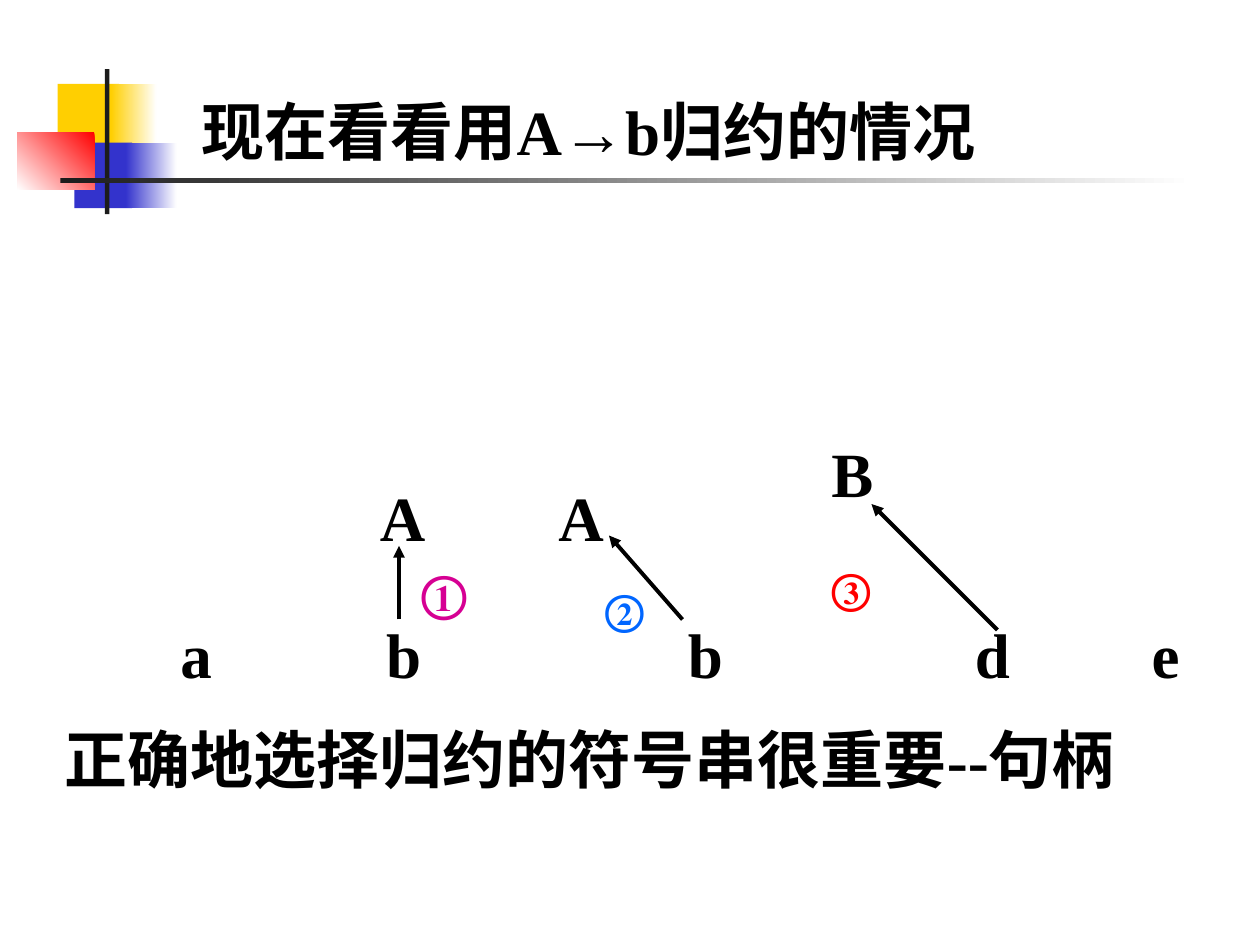
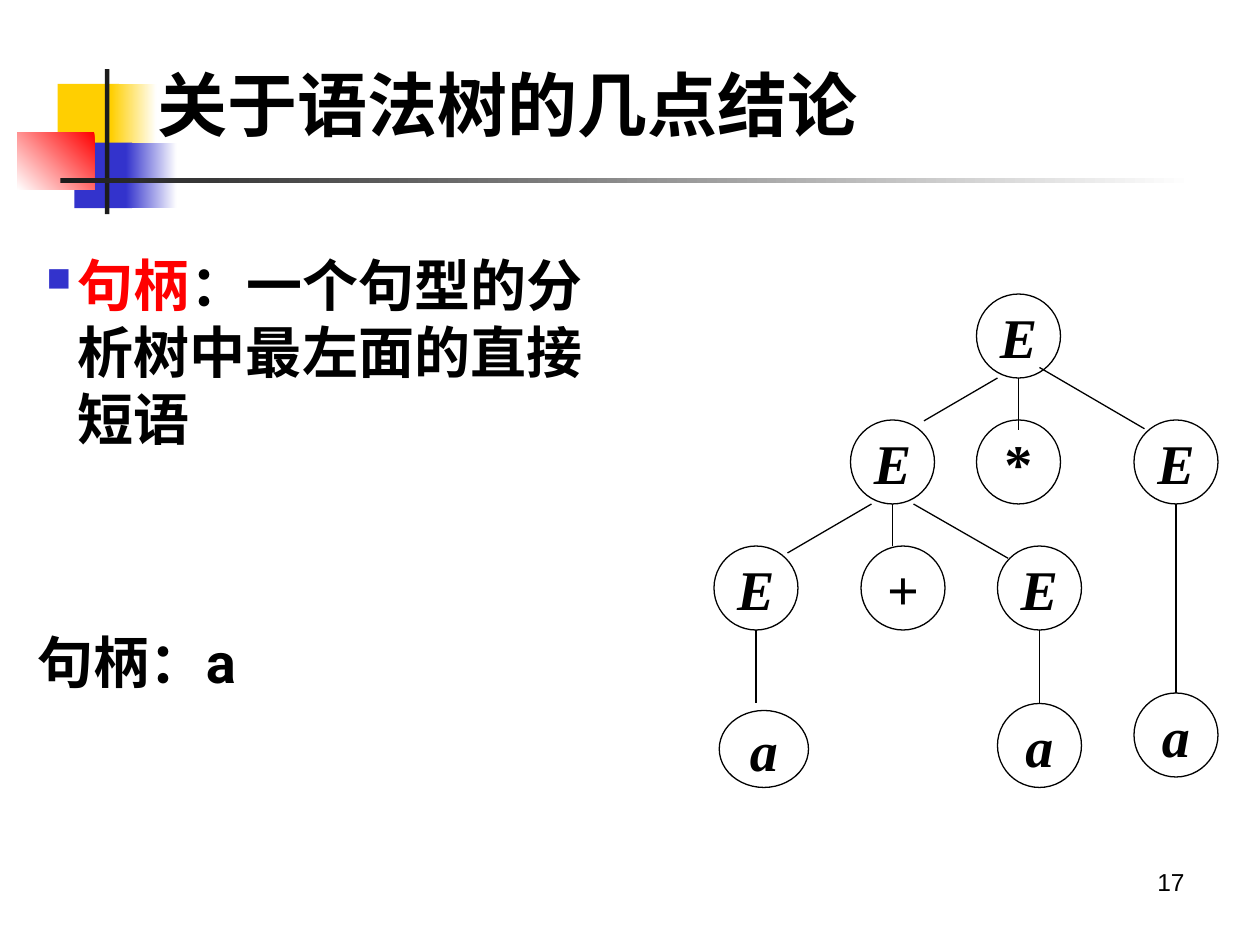
from pptx import Presentation
from pptx.dml.color import RGBColor
from pptx.enum import shapes, text
from pptx.oxml import parse_xml
from pptx.oxml.ns import nsdecls, qn
from pptx.util import Pt

BLACK, WHITE, INK = "000000", "FFFFFF", "1C1C1C"
YELLOW, BLUE, RED = "FFCF01", "3333CC", "FF0000"
SERIF, SANS, NUMBER_FONT = "Times New Roman", "Roboto", "Arial"
TITLE_ONLY = 5


def rgb(value):
    return RGBColor.from_string(value)


def drawing(tag, attributes="", content=""):
    """Make one DrawingML element."""
    return parse_xml(f"<a:{tag} {nsdecls('a')} {attributes}>{content}</a:{tag}>")


def add_run(paragraph, words, size, color=BLACK, font=SERIF, bold=True,
            italic=False, shadow=False):
    run = paragraph.add_run()
    run.text = words
    run.font.size = Pt(size)
    run.font.name = font
    run.font.bold = bold
    run.font.italic = italic
    run.font.color.rgb = rgb(color)
    if shadow:
        effect = ('<a:outerShdw dist="25400" dir="2700000">'
                  '<a:srgbClr val="1C1C1C"/></a:outerShdw>')
        fill = run.font._element.find(qn("a:solidFill"))
        fill.addnext(drawing("effectLst", content=effect))


def add_text_box(slide, left, top, width, height):
    """Add a wrapping text box and return its first paragraph."""
    box = slide.shapes.add_textbox(Pt(left), Pt(top), Pt(width), Pt(height))
    box.text_frame.word_wrap = True
    return box.text_frame.paragraphs[0]


def add_line(slide, start, end, width, arrow=False):
    line = slide.shapes.add_connector(
        shapes.MSO_CONNECTOR.STRAIGHT, *(Pt(value) for value in start + end))
    line.line.color.rgb = rgb(BLACK)
    line.line.width = Pt(width)
    if arrow:
        line.line._get_or_add_ln().append(drawing("tailEnd", 'type="triangle"'))
    line._element.spPr.append(drawing("effectLst"))


def add_block(slide, box, colors, angle=0):
    """Add a borderless rectangle, graded when two colours are given."""
    block = slide.shapes.add_shape(
        shapes.MSO_SHAPE.RECTANGLE, *(Pt(value) for value in box))
    block.shadow.inherit = False
    block.line.fill.background()
    if len(colors) == 1:
        block.fill.solid()
        block.fill.fore_color.rgb = rgb(colors[0])
    else:
        block.fill.gradient()
        block.fill.gradient_angle = angle
        for stop, color in zip(block.fill.gradient_stops, colors):
            stop.color.rgb = rgb(color)


def add_emblem(slide, left, top):
    """Add the coloured blocks and crossing rules beside the title."""
    blocks = [
        ((23, 8.5, 35, 37.5), [YELLOW], 0),
        ((53.5, 8.5, 26, 37.5), [YELLOW, WHITE], 0),
        ((32.5, 42, 33, 37.5), [BLUE], 0),
        ((62, 42, 29, 37.5), [BLUE, WHITE], 0),
        ((0, 36, 44, 33), [RED, WHITE], 225),
        ((50, 0, 2.5, 83), [INK], 0),
        ((24.5, 62.5, 648, 2.75), [INK, WHITE], 0),
    ]
    for (x, y, width, height), colors, angle in blocks:
        add_block(slide, (left + x, top + y, width, height), colors, angle)


def add_titled_slide(presentation, words, box, size, anchor):
    slide = presentation.slides.add_slide(presentation.slide_layouts[TITLE_ONLY])
    add_emblem(slide, 10, 39.5)
    title = slide.shapes.title
    title.left, title.top, title.width, title.height = (Pt(value) for value in box)
    frame = title.text_frame
    frame.auto_size = text.MSO_AUTO_SIZE.NONE
    frame.word_wrap = True
    frame.vertical_anchor = anchor
    paragraph = frame.paragraphs[0]
    paragraph.alignment = text.PP_ALIGN.LEFT
    add_run(paragraph, words, size)
    return slide


def add_reduction(slide, left, top):
    """Show the sentence with the three numbered reductions above it."""
    arrows = [((132, 109), (132, 67)), ((294, 109), (252, 61)),
              ((474, 115), (402, 43))]
    for start, end in arrows:
        add_line(slide, (left + start[0], top + start[1]),
                 (left + end[0], top + end[1]), 2.25, arrow=True)

    sentence = add_text_box(slide, left, top + 103, 594, 50)
    stops = "".join(f'<a:tab pos="{Pt(stop)}" algn="l"/>'
                    for stop in (117.5, 290, 454, 555))
    sentence._p.get_or_add_pPr().append(drawing("tabLst", content=stops))
    add_run(sentence, "a\tb\tb\td\te", 36)

    labels = [
        ("A", 114, 25, 36, BLACK), ("A", 216, 25, 36, BLACK),
        ("B", 372, 0, 36, BLACK), ("①", 138, 73, 28, "D60093"),
        ("②", 242.5, 85, 24, "0066FF"), ("③", 372, 73, 24, RED),
    ]
    for label, x, y, size, color in labels:
        paragraph = add_text_box(slide, left + x, top + y, 48, size * 1.4)
        add_run(paragraph, label, size, color)


def add_node(slide, symbol, left, top, width=48, height=48):
    node = slide.shapes.add_shape(
        shapes.MSO_SHAPE.OVAL, Pt(left), Pt(top), Pt(width), Pt(height))
    node.shadow.inherit = False
    node.fill.solid()
    node.fill.fore_color.rgb = rgb(WHITE)
    node.line.color.rgb = rgb(BLACK)
    node.line.width = Pt(0.75)
    frame = node.text_frame
    frame.word_wrap = False
    frame.vertical_anchor = text.MSO_ANCHOR.MIDDLE
    paragraph = frame.paragraphs[0]
    paragraph.alignment = text.PP_ALIGN.CENTER
    add_run(paragraph, symbol, 32, italic=symbol.isalpha())


def add_syntax_tree(slide, left, top):
    level = 72
    nodes = [
        ("E", 150, 0),
        ("E", 78, level), ("*", 150, level), ("E", 240, level),
        ("E", 0, 2 * level), ("+", 84, 2 * level), ("E", 162, 2 * level),
        ("a", 162, 234), ("a", 3, 238, 51, 44), ("a", 240, 228),
    ]
    branches = [
        (174, 48, 174, 78), (162, 48, 120, 72.5), (186, 42, 246, 77),
        (102, 120, 102, 144), (90, 120, 42, 148), (114, 120, 168, 151),
        (24, 192, 24, 234), (186, 192, 186, 234), (264, 120, 264, 228),
    ]
    for symbol, x, y, *size in nodes:
        add_node(slide, symbol, left + x, top + y, *size)
    for x1, y1, x2, y2 in branches:
        add_line(slide, (left + x1, top + y1), (left + x2, top + y2), 0.75)


def add_definition(slide, left, top):
    paragraph = add_text_box(slide, left, top, 323.5, 122)
    properties = paragraph._p.get_or_add_pPr()
    properties.set("marL", str(Pt(18)))
    properties.set("indent", str(-Pt(18)))
    properties.append(drawing("buClr", content=f'<a:srgbClr val="{BLUE}"/>'))
    properties.append(drawing("buSzPct", 'val="60000"'))
    properties.append(drawing("buChar", 'char="■"'))
    add_run(paragraph, "句柄", 32, RED, SANS, shadow=True)
    add_run(paragraph, "：一个句型的分析树中最左面的直接短语", 32,
            font=SANS, shadow=True)


def add_page_number(slide, number):
    paragraph = add_text_box(slide, 516, 492, 168, 37.5)
    paragraph.alignment = text.PP_ALIGN.RIGHT
    add_run(paragraph, number, 14, font=NUMBER_FONT, bold=False)


def build_reduction_slide(presentation):
    slide = add_titled_slide(presentation, "现在看看用A→b归约的情况",
                             (108, 49, 612, 50), 36, text.MSO_ANCHOR.TOP)
    add_reduction(slide, 96, 245)
    add_run(add_text_box(slide, 30, 408, 659, 50),
            "正确地选择归约的符号串很重要--句柄", 36)


def build_tree_slide(presentation):
    slide = add_titled_slide(presentation, "关于语法树的几点结论",
                             (83, 20, 618, 78), 40, text.MSO_ANCHOR.MIDDLE)
    add_page_number(slide, "17")
    add_syntax_tree(slide, 408, 168)
    add_run(add_text_box(slide, 14.5, 355, 329, 46), "句柄：a", 32,
            font=SANS, shadow=True)
    add_definition(slide, 19.5, 139.5)


def main():
    presentation = Presentation()
    presentation.slide_width, presentation.slide_height = Pt(720), Pt(540)
    build_reduction_slide(presentation)
    build_tree_slide(presentation)
    presentation.save("out.pptx")


if __name__ == "__main__":
    main()
